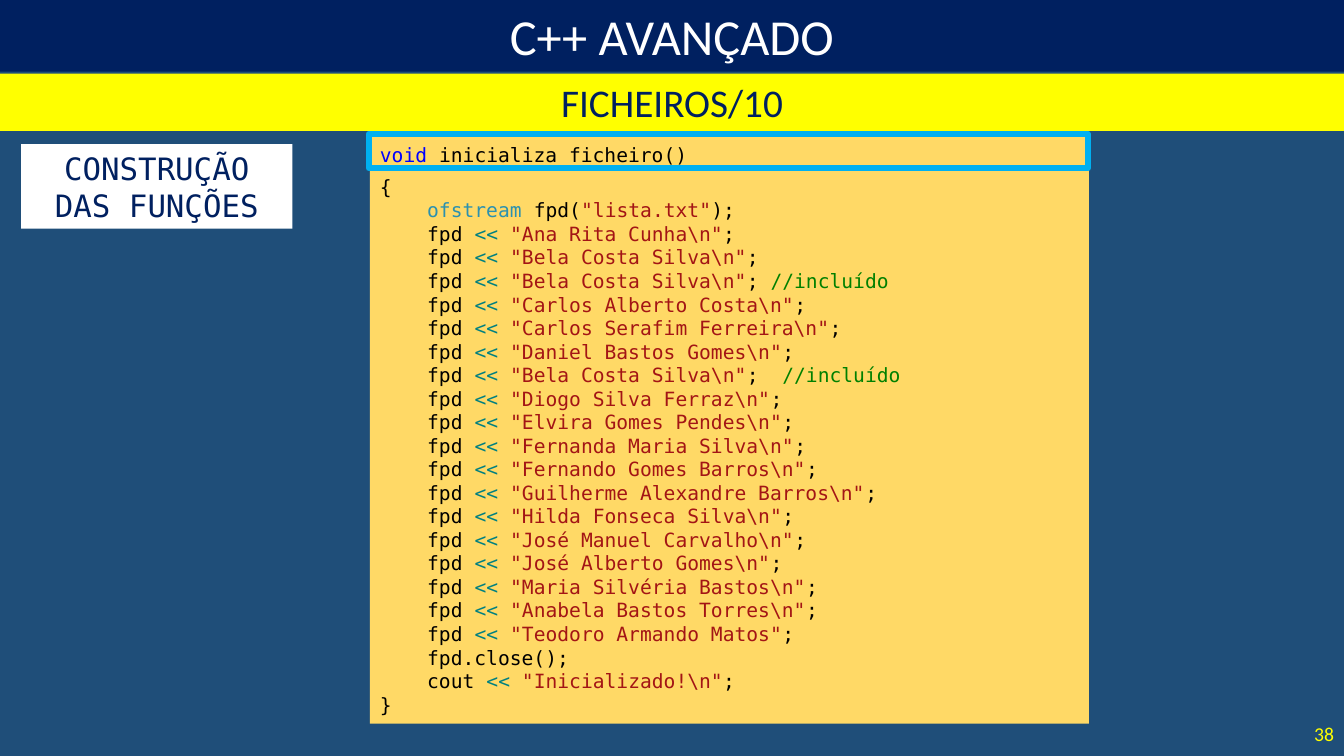
from pptx import Presentation
from pptx.dml.color import RGBColor
from pptx.enum.shapes import MSO_SHAPE
from pptx.enum.text import MSO_ANCHOR, PP_ALIGN
from pptx.util import Inches, Pt

RECTANGLE = MSO_SHAPE.RECTANGLE
MIDDLE = MSO_ANCHOR.MIDDLE
LEFT, CENTER, RIGHT = PP_ALIGN.LEFT, PP_ALIGN.CENTER, PP_ALIGN.RIGHT

WIDTH, HEIGHT = 13.33, 7.5
SANS, MONO = "Calibri", "DejaVu Sans Mono"
NAVY, YELLOW, WHITE, BLACK = "002060", "FFFF00", "FFFFFF", "000000"
KEYWORD, TYPE, OPERATOR = "0000FF", "2B91AF", "008080"
STRING, COMMENT = "A31515", "008000"
INDENT = "    "

# Text written to the file, and what follows the semicolon
RECORDS = [
    (r"Ana Rita Cunha\n", ""),
    (r"Bela Costa Silva\n", ""),
    (r"Bela Costa Silva\n", " //incluído"),
    (r"Carlos Alberto Costa\n", ""),
    (r"Carlos Serafim Ferreira\n", ""),
    (r"Daniel Bastos Gomes\n", ""),
    (r"Bela Costa Silva\n", "  //incluído"),
    (r"Diogo Silva Ferraz\n", ""),
    (r"Elvira Gomes Pendes\n", ""),
    (r"Fernanda Maria Silva\n", ""),
    (r"Fernando Gomes Barros\n", ""),
    (r"Guilherme Alexandre Barros\n", ""),
    (r"Hilda Fonseca Silva\n", ""),
    (r"José Manuel Carvalho\n", ""),
    (r"José Alberto Gomes\n", ""),
    (r"Maria Silvéria Bastos\n", ""),
    (r"Anabela Bastos Torres\n", ""),
    ("Teodoro Armando Matos", ""),
]


def color(value):
    return RGBColor.from_string(value)


def add_box(slide, left, top, width, height, fill=None):
    box = slide.shapes.add_shape(
        RECTANGLE, Inches(left), Inches(top), Inches(width), Inches(height))
    box.shadow.inherit = False
    box.line.fill.background()
    if fill:
        box.fill.solid()
        box.fill.fore_color.rgb = color(fill)
    else:
        box.fill.background()
    return box


def write(shape, lines, font, size, align):
    """Fill a shape with lines, each a list of (text, colour) runs."""
    frame = shape.text_frame
    frame.word_wrap = True
    frame.vertical_anchor = MIDDLE
    for number, line in enumerate(lines):
        paragraph = frame.add_paragraph() if number else frame.paragraphs[0]
        paragraph.alignment = align
        for text, text_color in line:
            run = paragraph.add_run()
            run.text = text
            run.font.name = font
            run.font.size = Pt(size)
            run.font.color.rgb = color(text_color)
    return frame


def output_line(stream, text, comment=""):
    line = [(f"{INDENT}{stream} ", BLACK), ("<< ", OPERATOR),
            (f'"{text}"', STRING), (";", BLACK)]
    if comment:
        line.append((comment, COMMENT))
    return line


def function_lines():
    return [
        [("void ", KEYWORD), ("inicializa_ficheiro()", BLACK)],
        [("{", BLACK)],
        [(f"{INDENT}ofstream ", TYPE), ("fpd(", BLACK),
         ('"lista.txt"', STRING), (");", BLACK)],
        *[output_line("fpd", text, comment) for text, comment in RECORDS],
        [(f"{INDENT}fpd.close();", BLACK)],
        output_line("cout", r"Inicializado!\n"),
        [("}", BLACK)],
    ]


def add_code(slide):
    panel = add_box(slide, 3.67, 1.34, 7.13, 5.84, "FFD966")
    code = write(panel, function_lines(), MONO, 14, LEFT)
    code.paragraphs[1].space_before = Pt(6)

    signature_frame = add_box(slide, 3.66, 1.33, 7.13, 0.34)
    signature_frame.line.color.rgb = color("00B0F0")
    signature_frame.line.width = Pt(4.5)


def add_page_number(slide):
    number = slide.shapes.add_textbox(
        Inches(12.1), Inches(7.08), Inches(1.23), Inches(0.4))
    write(number, [[("38", YELLOW)]], SANS, 14, RIGHT)


def main():
    deck = Presentation()
    deck.slide_width, deck.slide_height = Inches(WIDTH), Inches(HEIGHT)
    slide = deck.slides.add_slide(deck.slide_layouts[6])
    slide.background.fill.solid()
    slide.background.fill.fore_color.rgb = color("1F4E79")

    add_page_number(slide)
    course = add_box(slide, 0, 0, WIDTH, 0.71, NAVY)
    write(course, [[("C++ AVANÇADO", WHITE)]], SANS, 36, CENTER)
    topic = add_box(slide, 0, 0.73, WIDTH, 0.57, YELLOW)
    write(topic, [[("FICHEIROS/10", NAVY)]], SANS, 28, CENTER)
    section = add_box(slide, 0.21, 1.43, 2.69, 0.84, WHITE)
    write(section, [[("CONSTRUÇÃO DAS FUNÇÕES", NAVY)]], MONO, 22, CENTER)
    add_code(slide)
    deck.save("out.pptx")


if __name__ == "__main__":
    main()
